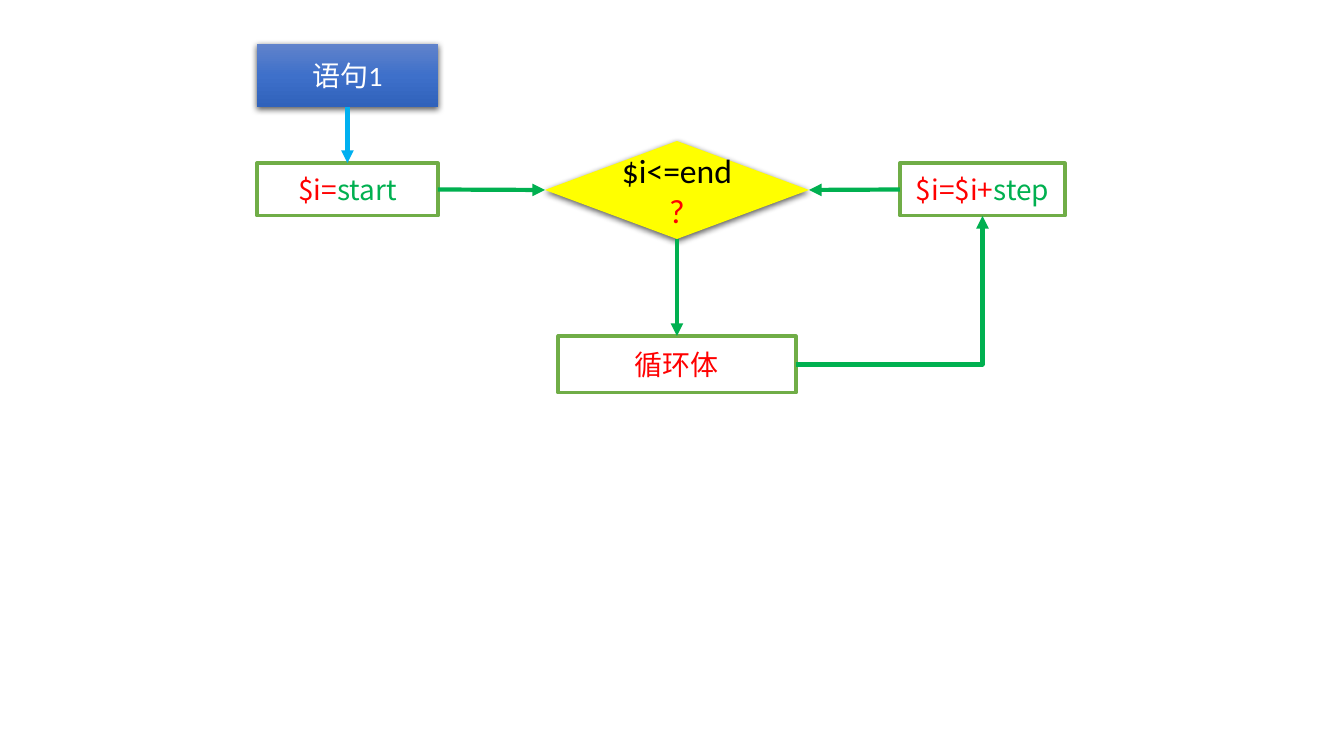
import pptx
import pptx.util
import pptx.dml.color
import pptx.enum.shapes
import pptx.enum.text
import pptx.oxml
import pptx.oxml.ns

SHAPE = pptx.enum.shapes.MSO_SHAPE
LINK = pptx.enum.shapes.MSO_CONNECTOR
CJK = "Noto Sans CJK SC"
RED, GREEN, BLUE = "FF0000", "00B050", "00B0F0"
TOP, LEFT, BOTTOM, RIGHT = range(4)

# name: kind, (left, top, width, height), text size, font, runs
NODES = {
    "first": ("statement", (257, 44, 181, 63), 20, "Calibri", [("语句1", "FFFFFF")]),
    "test": ("choice", (545, 141, 264, 98), 24, "Calibri",
             [("$i<=end", "000000"), ("?", RED)]),
    "body": ("step", (558, 336, 238, 57), 20, CJK, [("循环体", RED)]),
    "init": ("step", (257, 163, 181, 53), 20, CJK, [("$i=", RED), ("start", GREEN)]),
    "next": ("step", (900, 163, 165, 53), 20, CJK, [("$i=$i+", RED), ("step", GREEN)]),
}
ARROWS = [
    ("first", BOTTOM, "init", TOP, BLUE),
    ("test", BOTTOM, "body", TOP, GREEN),
    ("body", RIGHT, "next", BOTTOM, GREEN),
    ("init", RIGHT, "test", LEFT, GREEN),
    ("next", LEFT, "test", RIGHT, GREEN),
]
STOPS = [(0, "6183CB"), (50, "3E70CA"), (100, "3062BB")]
SPACE = pptx.oxml.ns.nsdecls("a")


def px(n):
    return pptx.util.Emu(round(n * 914400 / 100.8))


def color(code):
    return pptx.dml.color.RGBColor.from_string(code)


def qn(tag):
    return pptx.oxml.ns.qn(tag)


def shade(shape):
    """Give the shape a soft shadow that falls straight down."""
    effects = shape._element.spPr.find(qn("a:effectLst"))
    effects.append(pptx.oxml.parse_xml(
        f'<a:outerShdw {SPACE} blurRad="57150" dist="19050" dir="5400000" '
        'algn="ctr" rotWithShape="0"><a:srgbClr val="000000">'
        '<a:alpha val="63000"/></a:srgbClr></a:outerShdw>'))


def blend(shape):
    """Fill the shape from top to bottom with the colour stops."""
    shape.fill.gradient()
    old = shape._element.spPr.find(qn("a:gradFill"))
    stops = "".join(f'<a:gs pos="{pos * 1000}"><a:srgbClr val="{code}"/></a:gs>'
                    for pos, code in STOPS)
    new = pptx.oxml.parse_xml(
        f'<a:gradFill {SPACE} rotWithShape="1"><a:gsLst>{stops}</a:gsLst>'
        '<a:lin ang="5400000" scaled="0"/></a:gradFill>')
    old.getparent().replace(old, new)


def write(shape, kind, size, font, runs):
    frame = shape.text_frame
    frame.word_wrap = True
    frame.vertical_anchor = pptx.enum.text.MSO_ANCHOR.MIDDLE
    if kind == "choice":
        frame.margin_left = frame.margin_right = px(4)
        frame.margin_top = frame.margin_bottom = 0
    para = frame.paragraphs[0]
    para.alignment = pptx.enum.text.PP_ALIGN.CENTER
    for i, (text, code) in enumerate(runs):
        if i and kind == "choice":
            para.add_line_break()
        run = para.add_run()
        run.text = text
        run.font.size = pptx.util.Pt(size)
        run.font.name = font
        run.font.color.rgb = color(code)
        east = pptx.oxml.parse_xml(f'<a:ea {SPACE} typeface="{CJK}"/>')
        run.font._element.find(qn("a:latin")).addnext(east)


def draw(slide, kind, box, size, font, runs):
    form = SHAPE.DIAMOND if kind == "choice" else SHAPE.RECTANGLE
    shape = slide.shapes.add_shape(form, *map(px, box))
    shape.shadow.inherit = False
    if kind == "statement":
        blend(shape)
    else:
        shape.fill.solid()
        shape.fill.fore_color.rgb = color("FFFF00" if kind == "choice" else "FFFFFF")
    if kind == "step":
        shape.line.color.rgb = color("70AD47")
        shape.line.width = pptx.util.Pt(2.25)
    else:
        shape.line.fill.background()
        shade(shape)
    write(shape, kind, size, font, runs)
    return shape


def join(slide, start, out, end, into, code):
    bent = (out - into) % 2 == 1
    link = slide.shapes.add_connector(LINK.ELBOW if bent else LINK.STRAIGHT, 0, 0, 0, 0)
    link.begin_connect(start, out)
    link.end_connect(end, into)
    link.line.color.rgb = color(code)
    link.line.width = pptx.util.Pt(3)
    props = link._element.spPr
    if bent:
        props.find(qn("a:prstGeom")).set("prst", "bentConnector2")
    props.find(qn("a:ln")).append(
        pptx.oxml.parse_xml(f'<a:tailEnd {SPACE} type="triangle"/>'))
    props.append(pptx.oxml.parse_xml(f"<a:effectLst {SPACE}/>"))


def main():
    deck = pptx.Presentation()
    deck.slide_width, deck.slide_height = px(1344), px(756)
    slide = deck.slides.add_slide(deck.slide_layouts[6])
    nodes = {name: draw(slide, *node) for name, node in NODES.items()}
    for start, out, end, into, code in ARROWS:
        join(slide, nodes[start], out, nodes[end], into, code)
    deck.save("out.pptx")


if __name__ == "__main__":
    main()
